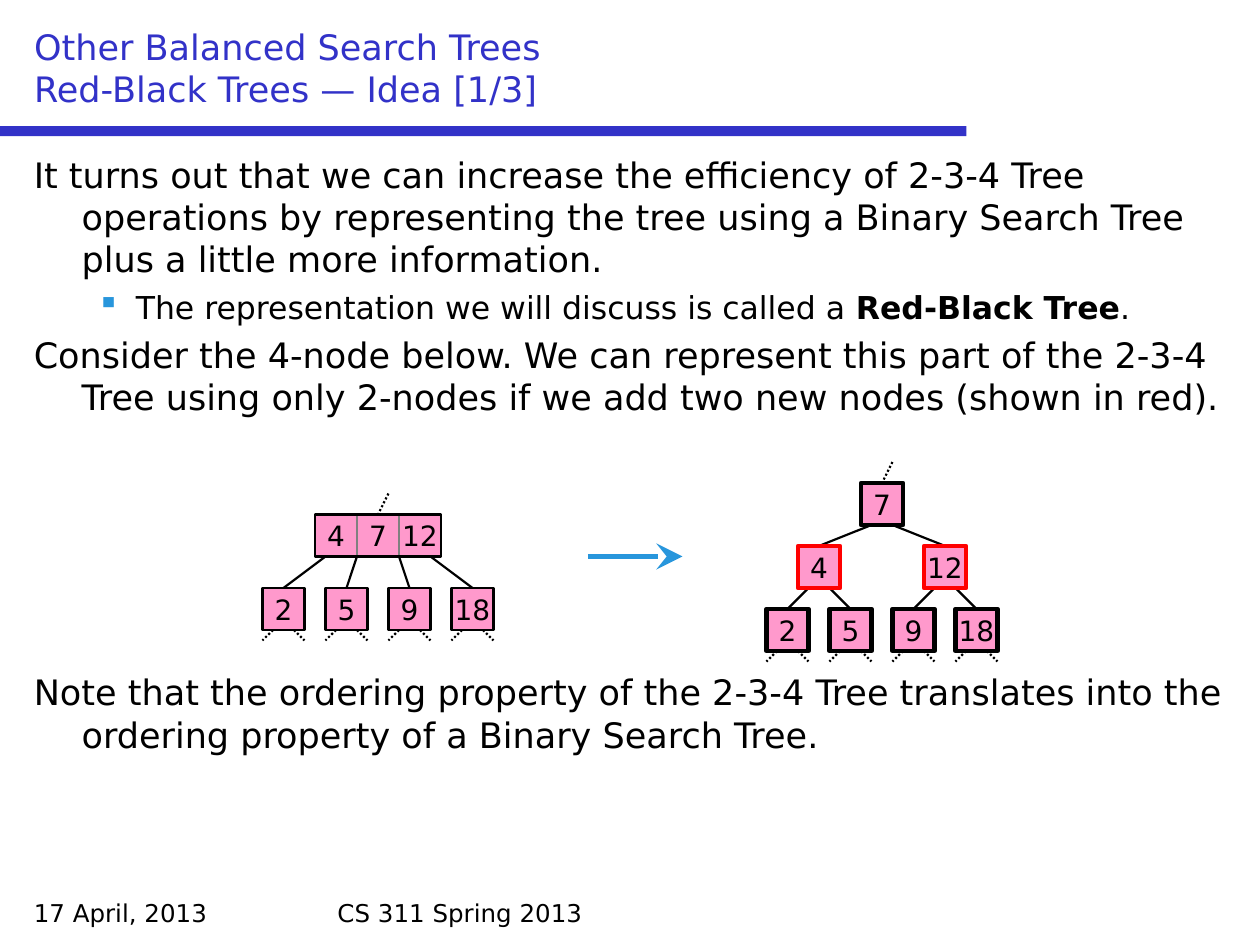
from dataclasses import dataclass

from lxml import etree
from pptx import Presentation
from pptx.dml.color import RGBColor
from pptx.enum.dml import MSO_LINE
from pptx.enum.shapes import MSO_CONNECTOR, MSO_SHAPE
from pptx.enum.text import MSO_ANCHOR, MSO_AUTO_SIZE, PP_ALIGN
from pptx.oxml.ns import qn
from pptx.util import Inches, Pt

RECT = MSO_SHAPE.RECTANGLE
STRAIGHT = MSO_CONNECTOR.STRAIGHT
DOTS = MSO_LINE.ROUND_DOT
LEFT, CENTER = PP_ALIGN.LEFT, PP_ALIGN.CENTER
MIDDLE, BOTTOM = MSO_ANCHOR.MIDDLE, MSO_ANCHOR.BOTTOM
TOP = 0  # connection site
NODE, STEP = 4, 6  # node side and leaf spacing, in grid units


@dataclass(frozen=True)
class Theme:
    font: str = "DejaVu Sans"
    blue: RGBColor = RGBColor(0x32, 0x32, 0xC8)
    sky: RGBColor = RGBColor(0x28, 0x96, 0xDC)
    pink: RGBColor = RGBColor(0xFF, 0x99, 0xCC)
    red: RGBColor = RGBColor(0xFF, 0, 0)
    gray: RGBColor = RGBColor(0x80, 0x80, 0x80)
    black: RGBColor = RGBColor(0, 0, 0)
    head: int = 20
    sub: int = 18
    label: int = 16
    foot: int = 14
    hair: float = 0.75
    thin: float = 1.25
    bold: float = 2.5
    arrow: float = 3


THEME = Theme()


def grid(n):
    """Diagrams sit on a grid of twelve units to the inch."""
    return Inches(n / 12)


def style(para, size, color=THEME.black):
    for run in para.runs:
        run.font.name = THEME.font
        run.font.size = Pt(size)
        run.font.color.rgb = color


def add_title(slide, text, box):
    title = slide.shapes.title
    title.left, title.top, title.width, title.height = map(Inches, box)
    frame = title.text_frame
    frame.text = text
    frame.auto_size = MSO_AUTO_SIZE.NONE
    frame.vertical_anchor = BOTTOM
    frame.paragraphs[0].alignment = LEFT
    style(frame.paragraphs[0], THEME.head, THEME.blue)


def add_rule(slide, box):
    bar = slide.shapes.add_shape(RECT, *map(Inches, box))
    bar.shadow.inherit = False
    bar.fill.solid()
    bar.fill.fore_color.rgb = THEME.blue
    bar.line.fill.background()


def add_foot(slide, text, box):
    frame = slide.shapes.add_textbox(*map(Inches, box)).text_frame
    frame.word_wrap = True
    frame.text = text
    style(frame.paragraphs[0], THEME.foot)


def set_indent(para, margin, hang, mark=None):
    props = para._p.get_or_add_pPr()
    props.set("marL", str(Inches(margin)))
    props.set("indent", str(-Inches(hang)))
    if mark:
        tint = etree.SubElement(props, qn("a:buClr"))
        etree.SubElement(tint, qn("a:srgbClr")).set("val", str(THEME.sky))
        etree.SubElement(props, qn("a:buChar")).set("char", mark)


def add_body(slide, items, box):
    """Each item is (level, space before, (plain, bold, plain) texts)."""
    frame = slide.shapes.add_textbox(*map(Inches, box)).text_frame
    frame.word_wrap = True
    for i, (level, gap, parts) in enumerate(items):
        para = frame.add_paragraph() if i else frame.paragraphs[0]
        if level:
            para.level = level
            set_indent(para, 0.81, 0.31, "▪")
        else:
            set_indent(para, 0.38, 0.38)
        para.space_before = Pt(gap)
        for j, part in enumerate(parts):
            run = para.add_run()
            run.text = part
            run.font.bold = j == 1
        style(para, THEME.sub if level else THEME.head)


def add_node(slide, x, y, text="", color=THEME.black, width=THEME.thin, cols=1):
    """A labelled square, or an empty frame when there is no text."""
    node = slide.shapes.add_shape(
        RECT, grid(x), grid(y), grid(NODE * cols), grid(NODE))
    node.shadow.inherit = False
    node.line.color.rgb = color
    node.line.width = Pt(width)
    if not text:
        node.fill.background()
        return node
    node.fill.solid()
    node.fill.fore_color.rgb = THEME.pink
    frame = node.text_frame
    frame.text = text
    frame.word_wrap = False
    frame.vertical_anchor = MIDDLE
    frame.paragraphs[0].alignment = CENTER
    style(frame.paragraphs[0], THEME.label)
    return node


def add_line(slide, start, end, color=THEME.black, width=THEME.thin, dash=None):
    """A line between grid points, laid behind all nodes."""
    line = slide.shapes.add_connector(STRAIGHT, *map(grid, start + end))
    line.line.color.rgb = color
    line.line.width = Pt(width)
    if dash:
        line.line.dash_style = dash
    etree.SubElement(line._element.spPr, qn("a:effectLst"))
    line._element.getparent().insert(2, line._element)
    return line


def add_edge(slide, start, child, x, y, dash=None):
    """Join a point to the top middle (x, y) of a child."""
    line = add_line(slide, start, (x, y), dash=dash)
    line.end_connect(child, TOP)


def add_leaves(slide, x, y, labels, starts, width):
    for i, (text, start) in enumerate(zip(labels, starts)):
        left = x + i * STEP
        leaf = add_node(slide, left, y, text, width=width)
        add_edge(slide, start, leaf, left + 2, y)
        for near, far in ((1, 0), (3, 4)):
            add_line(slide, (left + near, y + NODE), (left + far, y + 5), dash=DOTS)


def add_quad(slide, x, y):
    """The 4-node with its four children."""
    left, top = x + 5, y + 2
    for i, key in enumerate(("4", "7", "12")):
        add_node(slide, left + i * NODE, top, key, THEME.gray, THEME.hair)
    frame = add_node(slide, left, top, cols=3)
    add_edge(slide, (x + 12, y), frame, x + 11, top, DOTS)
    starts = [(left + dx, top + NODE) for dx in (1, 4, 8, 11)]
    add_leaves(slide, x, y + 9, ("2", "5", "9", "18"), starts, THEME.thin)


def add_binary(slide, x, y):
    """The same keys as 2-nodes, with the new nodes in red."""
    mid = x + 11
    root = add_node(slide, mid - 2, y + 2, "7", width=THEME.bold)
    add_edge(slide, (mid + 1, y), root, mid, y + 2, DOTS)
    starts = []
    for side, key in ((-1, "4"), (1, "12")):
        cx = mid + side * STEP
        node = add_node(slide, cx - 2, y + 8, key, THEME.red, THEME.bold)
        add_edge(slide, (mid + side, y + 6), node, cx, y + 8)
        starts += [(cx - 1, y + 12), (cx + 1, y + 12)]
    add_leaves(slide, x, y + 14, ("2", "5", "9", "18"), starts, THEME.bold)


def add_arrow(slide, start, end):
    arrow = add_line(slide, start, end, THEME.sky, THEME.arrow)
    tip = etree.SubElement(arrow.line._get_or_add_ln(), qn("a:tailEnd"))
    for name, value in (("type", "stealth"), ("w", "lg"), ("len", "lg")):
        tip.set(name, value)


def main():
    deck = Presentation()
    deck.slide_width, deck.slide_height = Inches(10), Inches(7.5)
    slide = deck.slides.add_slide(deck.slide_layouts[5])
    add_rule(slide, (0, 1, 7.67, 0.08))
    add_title(slide, "Other Balanced Search Trees\vRed-Black Trees — Idea [1/3]",
              (0.17, 0.17, 9.67, 0.75))
    add_body(slide, (
        (0, 0, ("It turns out that we can increase the efficiency of 2-3-4 Tree operations by "
                "representing the tree using a Binary Search Tree plus a little more information.",)),
        (1, 4.5, ("The representation we will discuss is called a ", "Red-Black Tree", ".")),
        (0, 4.5, ("Consider the 4-node below. We can represent this part of the 2-3-4 Tree "
                  "using only 2-nodes if we add two new nodes (shown in red).",)),
        (0, 145, ("Note that the ordering property of the 2-3-4 Tree translates into the "
                  "ordering property of a Binary Search Tree.",)),
    ), (0.17, 1.17, 9.67, 5.83))
    add_quad(slide, 25, 47)
    add_arrow(slide, (56, 53), (65, 53))
    add_binary(slide, 73, 44)
    add_foot(slide, "17 April, 2013", (0.17, 7.08, 2.33, 0.33))
    add_foot(slide, "CS 311 Spring 2013", (2.58, 7.08, 4.83, 0.33))
    deck.save("out.pptx")


if __name__ == "__main__":
    main()
